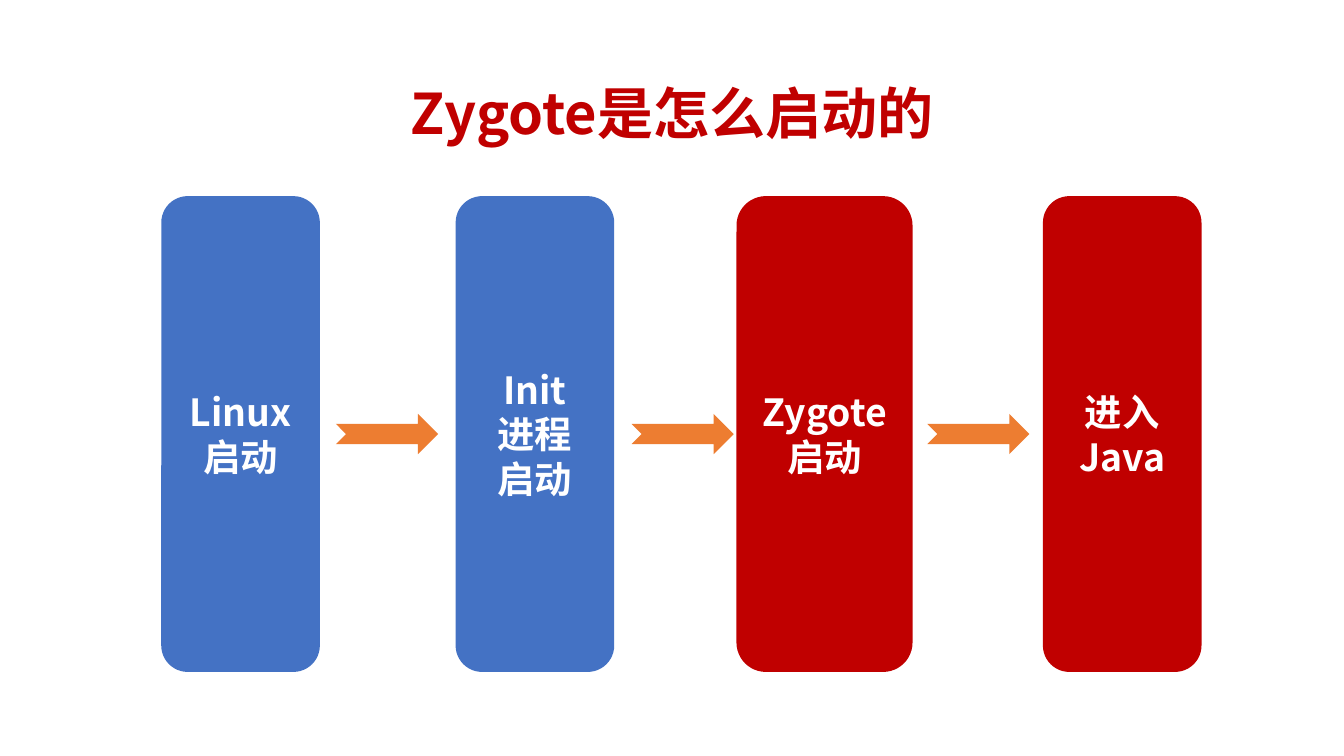
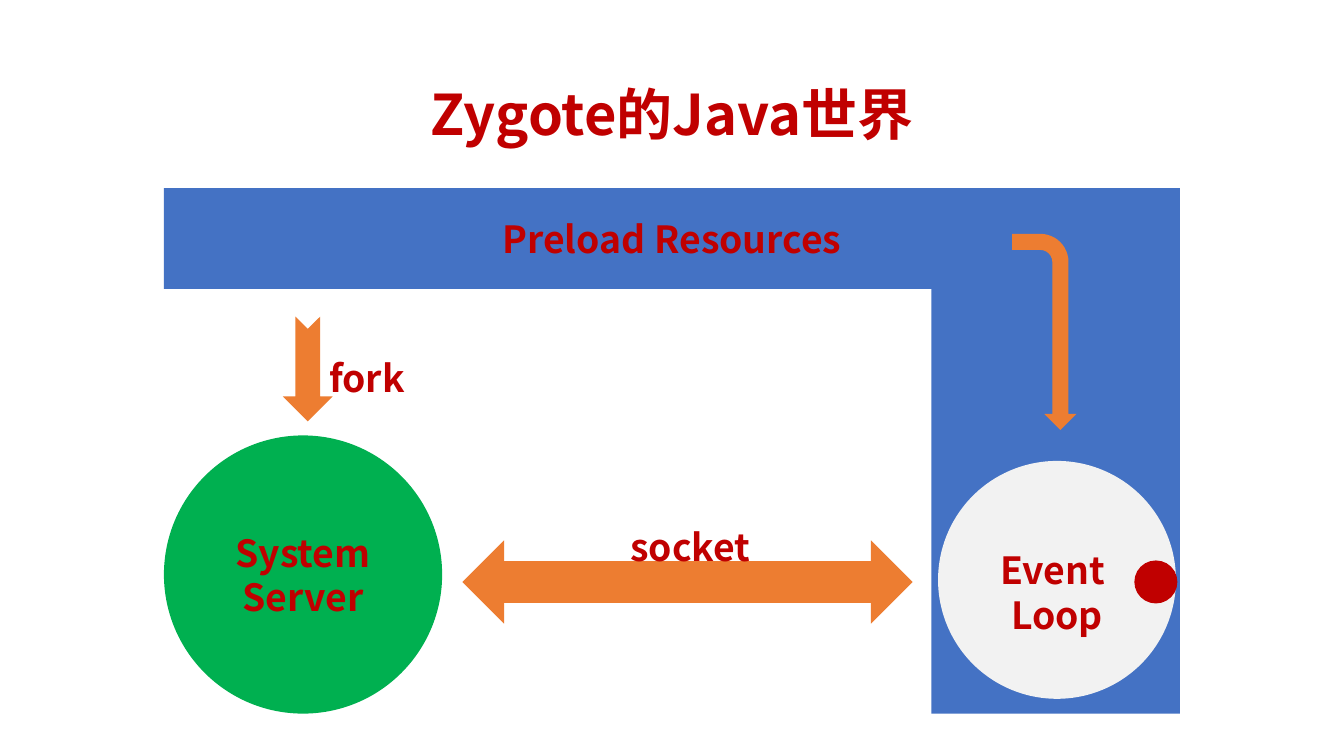
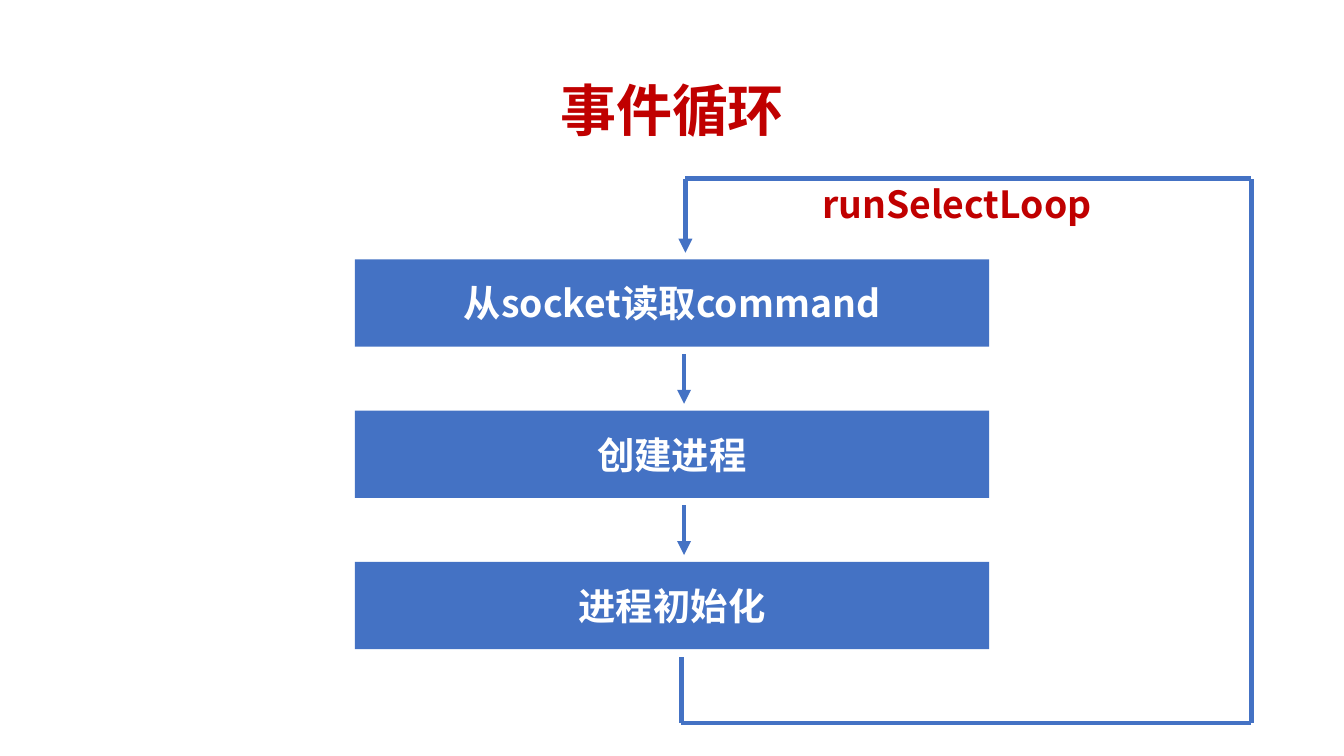
from lxml import etree
from pptx import Presentation
from pptx.dml.color import RGBColor
from pptx.enum import shapes, text
from pptx.oxml import ns
from pptx.util import Inches, Pt

FONT = "Noto Sans CJK SC"
HUES = {
    "blue": "4472C4",
    "red": "C00000",
    "orange": "ED7D31",
    "green": "00B050",
    "gray": "F2F2F2",
    "white": "FFFFFF",
}
KIND = shapes.MSO_SHAPE
MID = text.MSO_ANCHOR.MIDDLE
TOP = text.MSO_ANCHOR.TOP
LEFT = text.PP_ALIGN.LEFT
CENTER = text.PP_ALIGN.CENTER


def hue(name):
    return RGBColor.from_string(HUES[name])


def write(shape, words, size=20, color="red", align=CENTER, anchor=MID,
          space=None, side=0.1, lid=0.05):
    """Fill a shape with bold text, one paragraph per line of words."""
    frame = shape.text_frame
    frame.word_wrap = True
    frame.auto_size = text.MSO_AUTO_SIZE.NONE
    frame.vertical_anchor = anchor
    frame.margin_left = frame.margin_right = Inches(side)
    frame.margin_top = frame.margin_bottom = Inches(lid)
    frame.text = words
    for para in frame.paragraphs:
        para.alignment = align
        if space:
            para.line_spacing = space
        for run in para.runs:
            run.font.size = Pt(size)
            run.font.bold = True
            run.font.color.rgb = hue(color)
            run.font.name = FONT
            props = run._r.get_or_add_rPr()
            etree.SubElement(props, ns.qn("a:ea"), typeface=FONT)


def place(shape, box):
    shape.left, shape.top, shape.width, shape.height = map(Inches, box)


def draw(parent, kind, box, fill, words="", turn=0, **style):
    shape = parent.shapes.add_shape(kind, *map(Inches, box))
    shape.shadow.inherit = False
    shape.fill.solid()
    shape.fill.fore_color.rgb = hue(fill)
    shape.line.fill.background()
    shape.rotation = turn
    if words:
        write(shape, words, **style)


def label(slide, words, box, **style):
    write(slide.shapes.add_textbox(*map(Inches, box)), words, anchor=TOP,
          **style)


def link(slide, start, end, arrow=False):
    line = slide.shapes.add_connector(
        shapes.MSO_CONNECTOR.STRAIGHT, *map(Inches, start + end))
    line.line.color.rgb = hue("blue")
    line.line.width = Pt(2.5)
    props = line._element.spPr
    if arrow:
        etree.SubElement(props.find(ns.qn("a:ln")), ns.qn("a:tailEnd"),
                         type="triangle")
    etree.SubElement(props, ns.qn("a:effectLst"))


def page(deck, title, top=0.57, height=0.59):
    slide = deck.slides.add_slide(deck.slide_layouts[5])
    head = slide.shapes.title
    place(head, (0.69, top, 8.62, height))
    write(head, title, size=30, space=0.9)
    return slide


def stages(slide, x, y, height):
    """Draw the boot stages as tall columns joined by arrows."""
    columns = [
        (0, 1.18, "blue", "Linux\n启动"),
        (2.19, 1.18, "blue", "Init\n进程\n启动"),
        (4.28, 1.31, "red", "Zygote\n启动"),
        (6.56, 1.18, "red", "进入Java"),
    ]
    for left, width, fill, words in columns:
        draw(slide, KIND.ROUNDED_RECTANGLE, (x + left, y, width, height),
             fill, words, color="white")
    for i in range(len(columns) - 1):
        draw(slide, KIND.NOTCHED_RIGHT_ARROW,
             (x + 1.3 + 2.2 * i, y + 1.62, 0.76, 0.3), "orange")


def server(slide, x, y):
    """Draw the forked server and its socket arrow below the band."""
    draw(slide, KIND.LEFT_RIGHT_ARROW, (x + 2.22, y + 1.87, 3.35, 0.62),
         "orange")
    label(slide, "socket", (x + 2.87, y + 1.7, 2.09, 0.44))
    draw(slide, KIND.NOTCHED_RIGHT_ARROW, (x + 0.68, y + 0.41, 0.78, 0.37),
         "orange", turn=90)
    label(slide, "fork", (x + 1.13, y + 0.44, 1.01, 0.44), align=LEFT)


def loop(slide, x, y):
    """Draw the right-hand column with the ring of the event loop."""
    draw(slide, KIND.RECTANGLE, (x, y, 1.85, 3.21), "blue")
    ring = slide.shapes.add_group_shape()
    draw(ring, KIND.OVAL, (x + 0.05, y + 1.33, 1.77, 1.77), "gray")
    draw(ring, KIND.OVAL, (x + 1.51, y + 2.07, 0.32, 0.32), "red")


def inner(slide, x, y):
    """Name the loop and draw the bent arrow that leads to it."""
    label(slide, "Event \nLoop", (x + 0.05, y + 1.92, 1.77, 0.77))
    draw(slide, KIND.BENT_ARROW, (x + 0.11, y + 0.13, 1.46, 0.48),
         "orange", turn=90)


def steps(slide, x, y, width):
    """Draw the stacked steps with an arrow in each gap."""
    names = ["从socket读取command", "创建进程", "进程初始化"]
    tall, mid = 0.65, x + 2.45
    pitch = 2.25 / (len(names) - 1)
    tops = [y + i * pitch for i in range(len(names))]
    for top, name in zip(tops, names):
        draw(slide, KIND.RECTANGLE, (x, top, width, tall), "blue", name,
             color="white")
    return [((mid, top - 0.42), (mid, top - 0.05)) for top in tops[1:]]


def circuit(slide, x, y, right, foot):
    """Draw the line that leads from the last step back to the first."""
    points = [(x, foot - 0.49), (x, foot), (right, foot), (right, y),
              (x + 0.03, y), (x + 0.03, y + 0.55)]
    for i, (start, end) in enumerate(zip(points, points[1:]), 2):
        link(slide, start, end, arrow=i == len(points))


def main():
    deck = Presentation()
    deck.slide_width = Inches(10)
    deck.slide_height = deck.slide_width * 9 // 16

    stages(page(deck, "Zygote是怎么启动的"), 1.2, 1.46, 3.54)

    world = page(deck, "Zygote的Java世界", top=0.58)
    draw(world, KIND.RECTANGLE, (1.22, 1.4, 7.56, 0.75), "blue",
         "Preload Resources")
    server(world, 1.22, 2.15)
    loop(world, 6.93, 2.1)
    draw(world, KIND.OVAL, (1.22, 3.24, 2.07, 2.07), "green",
         "System\nServer", side=0)
    inner(world, 6.93, 2.1)

    events = page(deck, "事件循环", top=0.3, height=1.09)
    label(events, "runSelectLoop", (4.93, 1.35, 4.38, 0.67), side=0, lid=0)
    gaps = steps(events, 2.64, 1.93, 4.72)
    circuit(events, 5.07, 1.33, 9.31, 5.38)
    for start, end in gaps:
        link(events, start, end, arrow=True)

    deck.save("out.pptx")


if __name__ == "__main__":
    main()
